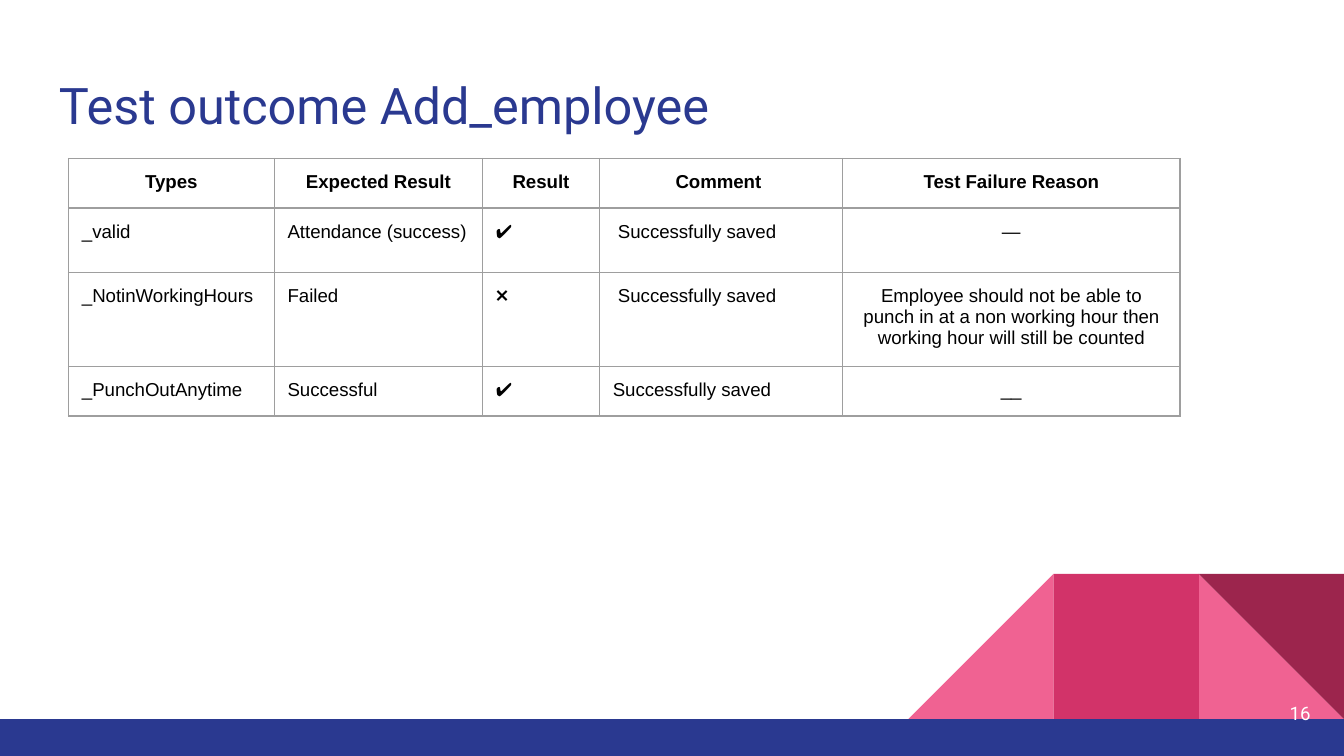
from pptx import Presentation
from pptx.dml.color import RGBColor
from pptx.enum.shapes import MSO_SHAPE
from pptx.enum.text import MSO_ANCHOR, PP_ALIGN
from pptx.oxml import parse_xml
from pptx.oxml.ns import nsdecls
from pptx.util import Inches, Pt

BLUE = RGBColor(0x2A, 0x39, 0x90)
PINK = RGBColor(0xF0, 0x62, 0x92)
CRIMSON = RGBColor(0xD2, 0x33, 0x69)
MAROON = RGBColor(0x9C, 0x25, 0x4D)
GREY = RGBColor(0x9E, 0x9E, 0x9E)
BLACK = RGBColor(0, 0, 0)
WHITE = RGBColor(0xFF, 0xFF, 0xFF)

SLIDE_WIDTH = 10
SLIDE_HEIGHT = SLIDE_WIDTH * 9 / 16
BAND_TOP = 5.35
TILE = 1.08
COLUMN_WIDTHS = [1.53, 1.55, 0.87, 1.81, 2.51]
ROW_HEIGHTS = [0.33, 0.48, 0.48, 0.33]
REASON_COLUMN = 4
OUTCOMES = [
    ["Types", "Expected Result", "Result", "Comment ", "Test Failure Reason"],
    ["_valid", "Attendance (success)", "✔️", " Successfully saved", "—"],
    ["_NotinWorkingHours", "Failed", "❌", " Successfully saved",
     "Employee should not be able to punch in at a non working hour "
     "then working hour will still be counted"],
    ["_PunchOutAnytime", "Successful", "✔️", "Successfully saved", "__"],
]


def add_block(slide, kind, left, top, width, height, color, flip=False, rotation=0):
    shape = slide.shapes.add_shape(
        kind, Inches(left), Inches(top), Inches(width), Inches(height))
    shape.shadow.inherit = False
    shape.fill.solid()
    shape.fill.fore_color.rgb = color
    shape.line.fill.background()
    shape.rotation = rotation
    if flip:
        shape._element.spPr.xfrm.set("flipH", "1")


def set_text(frame, text, font_name, size, color, align=PP_ALIGN.LEFT, bold=False):
    paragraph = frame.paragraphs[0]
    paragraph.text = text
    paragraph.alignment = align
    paragraph.line_spacing = 1.0
    paragraph.space_before = paragraph.space_after = Pt(0)
    font = paragraph.font
    font.name, font.size, font.bold = font_name, Pt(size), bold
    font.color.rgb = color


def add_label(slide, left, top, width, height, text, size, color,
              align=PP_ALIGN.LEFT, anchor=MSO_ANCHOR.TOP):
    box = slide.shapes.add_textbox(
        Inches(left), Inches(top), Inches(width), Inches(height))
    frame = box.text_frame
    frame.word_wrap = True
    frame.vertical_anchor = anchor
    frame.margin_left = frame.margin_right = Inches(0.1)
    frame.margin_top = frame.margin_bottom = Inches(0.1)
    set_text(frame, text, "Roboto", size, color, align)


def style_cell(cell):
    cell.margin_left = cell.margin_right = Inches(0.1)
    cell.margin_top = cell.margin_bottom = Inches(0.1)
    properties = cell._tc.get_or_add_tcPr()
    for side in ("lnL", "lnR", "lnT", "lnB"):
        properties.append(parse_xml(
            f'<a:{side} {nsdecls("a")} w="{Pt(0.75)}"><a:solidFill>'
            f'<a:srgbClr val="{GREY}"/></a:solidFill></a:{side}>'))
    cell.fill.background()


def add_outcome_table(slide):
    table = slide.shapes.add_table(
        len(OUTCOMES), len(COLUMN_WIDTHS), Inches(0.51), Inches(1.18),
        Inches(sum(COLUMN_WIDTHS)), Inches(sum(ROW_HEIGHTS))).table
    table.horz_banding = False
    table.first_row = False
    for column, width in zip(table.columns, COLUMN_WIDTHS):
        column.width = Inches(width)
    for row, height in zip(table.rows, ROW_HEIGHTS):
        row.height = Inches(height)
    for row_index, values in enumerate(OUTCOMES):
        for column_index, text in enumerate(values):
            cell = table.cell(row_index, column_index)
            style_cell(cell)
            header = row_index == 0
            centred = header or column_index == REASON_COLUMN
            set_text(cell.text_frame, text, "Arial", 10, BLACK,
                     PP_ALIGN.CENTER if centred else PP_ALIGN.LEFT, header)


def add_decoration(slide):
    # Tiles stand on the band, counted from the right edge
    top = BAND_TOP - TILE
    right, middle, left = (SLIDE_WIDTH - count * TILE for count in (1, 2, 3))
    triangle = MSO_SHAPE.RIGHT_TRIANGLE
    add_block(slide, triangle, right, top, TILE, TILE, PINK)
    add_block(slide, triangle, left, top, TILE, TILE, PINK, flip=True)
    add_block(slide, MSO_SHAPE.RECTANGLE, middle, top, TILE, TILE, CRIMSON)
    add_block(slide, triangle, right, top, TILE, TILE, MAROON, rotation=180)
    # Bottom band
    add_block(slide, MSO_SHAPE.RECTANGLE, 0, BAND_TOP, SLIDE_WIDTH,
              SLIDE_HEIGHT - BAND_TOP, BLUE)


def main():
    presentation = Presentation()
    presentation.slide_width = Inches(SLIDE_WIDTH)
    presentation.slide_height = Inches(SLIDE_HEIGHT)
    slide = presentation.slides.add_slide(presentation.slide_layouts[6])

    add_decoration(slide)
    # Title
    add_label(slide, 0.34, 0.45, 9.32, 0.66, "Test outcome Add_employee", 27, BLUE)
    add_outcome_table(slide)
    # Slide number
    add_label(slide, 9.25, 5.09, 0.6, 0.43, "16", 10, WHITE,
              PP_ALIGN.RIGHT, MSO_ANCHOR.MIDDLE)

    presentation.save("out.pptx")


if __name__ == "__main__":
    main()
